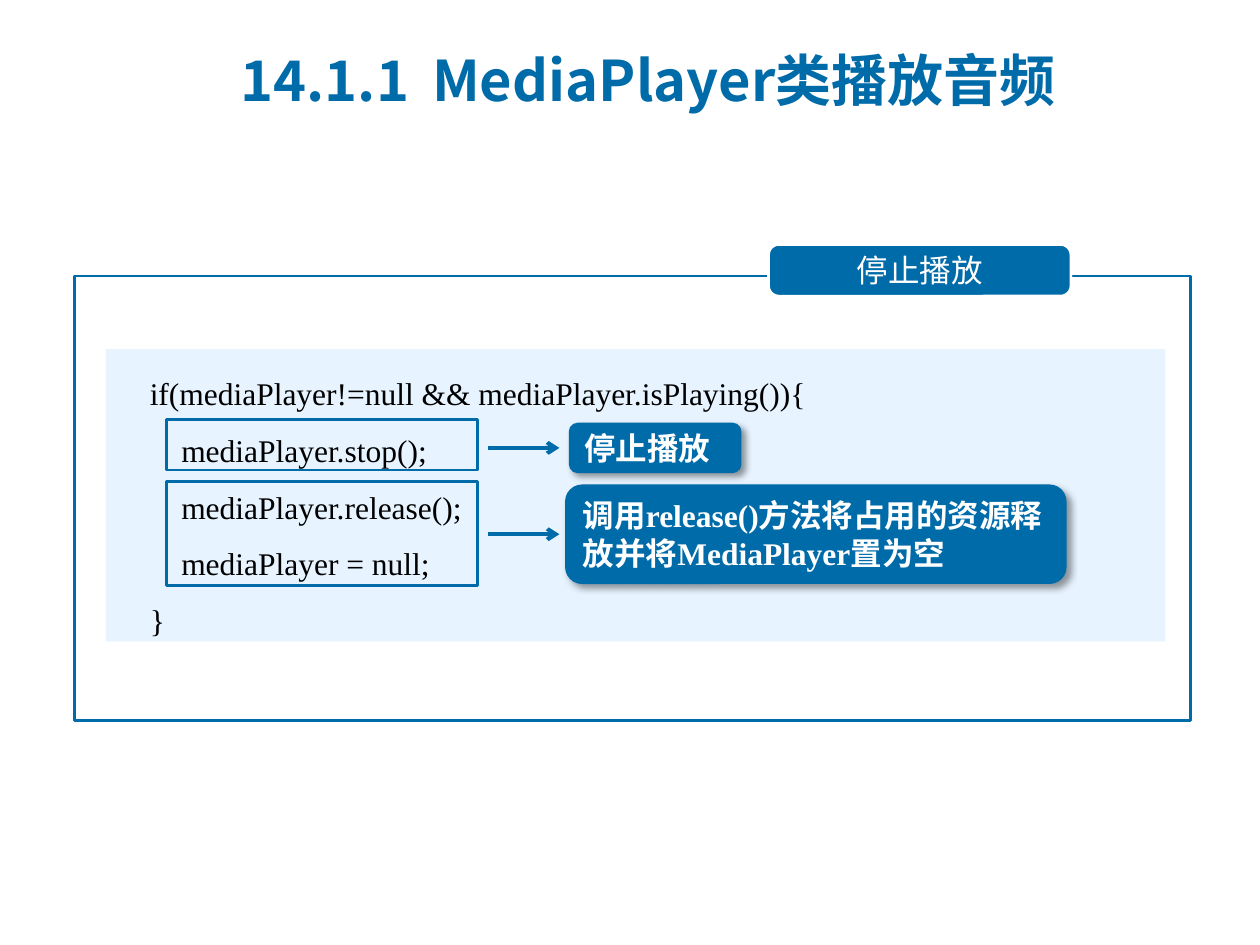
from dataclasses import dataclass

from lxml.etree import SubElement
from pptx import Presentation
from pptx.dml.color import RGBColor
from pptx.enum.shapes import MSO_CONNECTOR as Connector, MSO_SHAPE as Shape
from pptx.enum.text import MSO_ANCHOR as Anchor, MSO_AUTO_SIZE as AutoSize, PP_ALIGN as Align
from pptx.oxml.ns import qn
from pptx.util import Inches, Pt


@dataclass(frozen=True)
class Theme:
    """Colours, fonts and type sizes of the slide."""
    blue: str = "006BA9"
    pale: str = "E7F4FF"
    white: str = "FFFFFF"
    black: str = "000000"
    chinese: str = "Noto Sans CJK SC"
    code: str = "Times New Roman"
    label: str = "Arial"
    title_size: int = 32
    body_size: int = 18


class SlideBuilder:
    """Draws each kind of element on the current slide."""

    def __init__(self, presentation, theme):
        self.theme = theme
        self.slide = presentation.slides.add_slide(presentation.slide_layouts[5])

    def format_text(self, paragraph, font_name, size, color, bold=False):
        """Give every run of a paragraph the same font."""
        for run in paragraph.runs:
            run.font.size = Pt(size)
            run.font.bold = bold
            run.font.color.rgb = RGBColor.from_string(color)
            run.font.name = font_name
            SubElement(run.font._element, qn("a:ea"), typeface=self.theme.chinese)

    def indent(self, paragraph, margin, first=0):
        """Set the left margin and first-line indent of a paragraph."""
        properties = paragraph._p.get_or_add_pPr()
        properties.set("marL", str(Inches(margin)))
        properties.set("indent", str(Inches(first)))

    def title(self, text, left, top, width, height, hanging):
        """Place and format the title, with its text after a hanging number."""
        title = self.slide.shapes.title
        title.left, title.top = Inches(left), Inches(top)
        title.width, title.height = Inches(width), Inches(height)
        frame = title.text_frame
        frame.text = text
        frame.auto_size = AutoSize.NONE
        frame.vertical_anchor = Anchor.MIDDLE
        paragraph = frame.paragraphs[0]
        paragraph.alignment = Align.LEFT
        self.indent(paragraph, hanging, -hanging)
        self.format_text(paragraph, self.theme.chinese, self.theme.title_size, self.theme.blue, True)

    def box(self, left, top, width, height, fill=None, line=None, weight=1.5, kind=Shape.RECTANGLE):
        """Add a plain shape with an optional fill and outline."""
        shape = self.slide.shapes.add_shape(
            kind, Inches(left), Inches(top), Inches(width), Inches(height))
        shape.shadow.inherit = False
        if fill:
            shape.fill.solid()
            shape.fill.fore_color.rgb = RGBColor.from_string(fill)
        else:
            shape.fill.background()
        if line:
            shape.line.color.rgb = RGBColor.from_string(line)
            shape.line.width = Pt(weight)
        else:
            shape.line.fill.background()
        return shape

    def tag(self, text, left, top, width, height):
        """Add the centred label that sits on the frame."""
        theme = self.theme
        shape = self.box(left, top, width, height, theme.blue, theme.white,
                         kind=Shape.ROUNDED_RECTANGLE)
        shape.adjustments[0] = 0.2
        frame = shape.text_frame
        frame.text = text
        frame.margin_left = frame.margin_right = Inches(0.24)
        frame.margin_top = frame.margin_bottom = Inches(0.06)
        frame.paragraphs[0].alignment = Align.CENTER
        self.format_text(frame.paragraphs[0], theme.chinese, theme.body_size, theme.white)

    def code(self, lines, left, top, width, height, step):
        """Add a code panel from pairs of indent level and text."""
        theme = self.theme
        frame = self.box(left, top, width, height, theme.pale).text_frame
        frame.text = "\n".join(text for _, text in lines)
        frame.vertical_anchor = Anchor.TOP
        for paragraph, (level, _) in zip(frame.paragraphs, lines):
            paragraph.alignment = Align.LEFT
            paragraph.line_spacing = 1.5
            self.indent(paragraph, level * step)
            self.format_text(paragraph, theme.code, theme.body_size, theme.black)

    def callout(self, text, left, top, width, height, font_name):
        """Add a rounded explanation with a soft shadow."""
        theme = self.theme
        shape = self.box(left, top, width, height, theme.blue, theme.blue, 0.75,
                         Shape.ROUNDED_RECTANGLE)
        effects = shape._element.spPr.find(qn("a:effectLst"))
        shadow = SubElement(effects, qn("a:outerShdw"), blurRad=str(Pt(4)), dist=str(Pt(3)),
                            dir="2700000", algn="tl", rotWithShape="0")
        color = SubElement(shadow, qn("a:srgbClr"), val=theme.black)
        SubElement(color, qn("a:alpha"), val="40000")
        frame = shape.text_frame
        frame.text = text
        frame.word_wrap = True
        frame.auto_size = AutoSize.SHAPE_TO_FIT_TEXT
        frame.paragraphs[0].alignment = Align.LEFT
        self.format_text(frame.paragraphs[0], font_name, theme.body_size, theme.white, True)

    def arrow(self, left, right, y):
        """Add a horizontal arrow pointing right."""
        connector = self.slide.shapes.add_connector(
            Connector.STRAIGHT, Inches(left), Inches(y), Inches(right), Inches(y))
        connector.line.color.rgb = RGBColor.from_string(self.theme.blue)
        connector.line.width = Pt(2.25)
        SubElement(connector.line._get_or_add_ln(), qn("a:tailEnd"), type="arrow")
        SubElement(connector._element.spPr, qn("a:effectLst"))


def main():
    """Build the slide and save it."""
    presentation = Presentation()
    presentation.slide_width, presentation.slide_height = Inches(10), Inches(7.5)
    theme = Theme()
    builder = SlideBuilder(presentation, theme)
    builder.title("14.1.1\tMediaPlayer类播放音频", 1.81, 0.21, 7.28, 0.84, hanging=1.52)
    builder.box(0.59, 2.19, 8.86, 3.53, line=theme.blue)
    builder.tag("停止播放", 6.1, 1.94, 2.4, 0.41)
    code_lines = [
        (1, "if(mediaPlayer!=null && mediaPlayer.isPlaying()){"),
        (2, "mediaPlayer.stop();"),
        (2, "mediaPlayer.release();"),
        (2, "mediaPlayer = null;"),
        (1, "}"),
    ]
    builder.code(code_lines, 0.84, 2.77, 8.41, 2.32, step=0.25)
    notes = [
        (3.33, 0.4, "停止播放", (4.52, 3.36, 1.36, 0.39), theme.label),
        (3.82, 0.83, "调用release()方法将占用的资源释放并将MediaPlayer置为空",
         (4.49, 3.85, 3.97, 0.78), theme.code),
    ]
    for top, height, text, place, font_name in notes:
        builder.box(1.32, top, 2.47, height, line=theme.blue)
        builder.callout(text, *place, font_name)
        builder.arrow(3.87, 4.44, place[1] + place[3] / 2)
    presentation.save("out.pptx")


if __name__ == "__main__":
    main()
